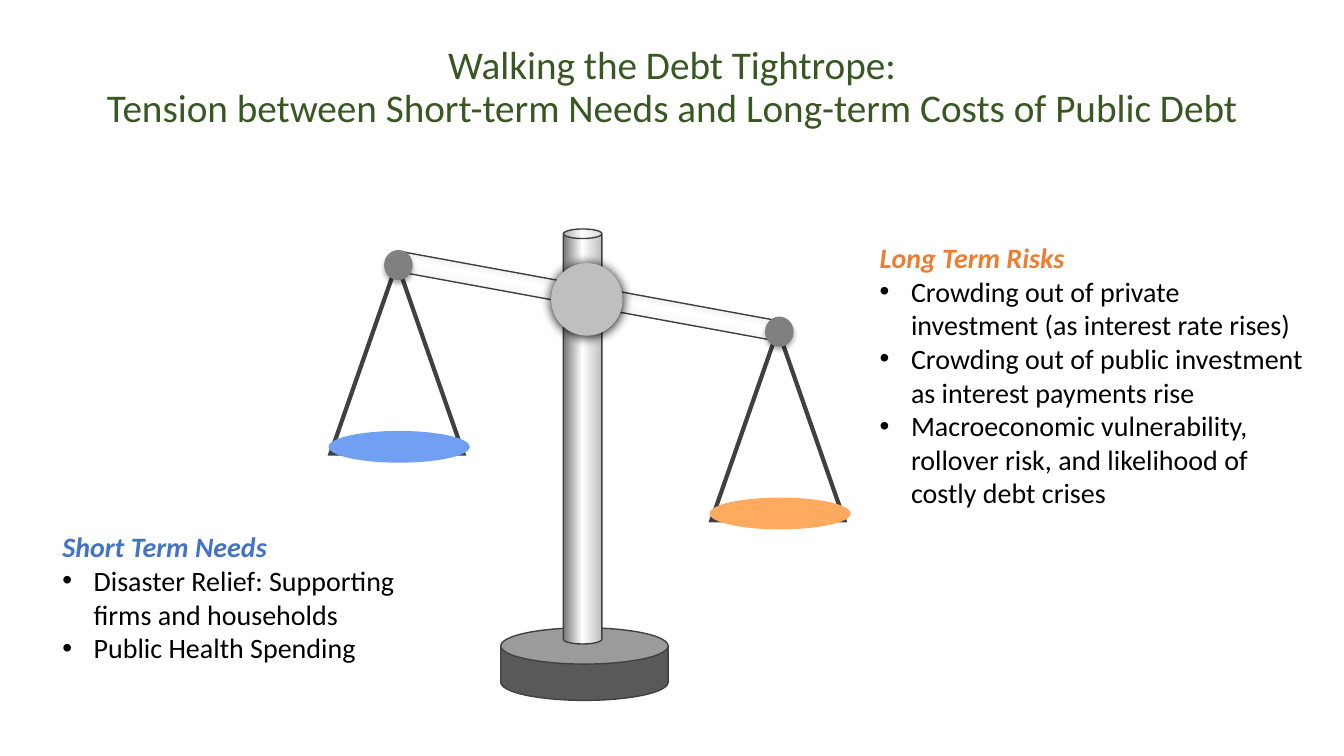
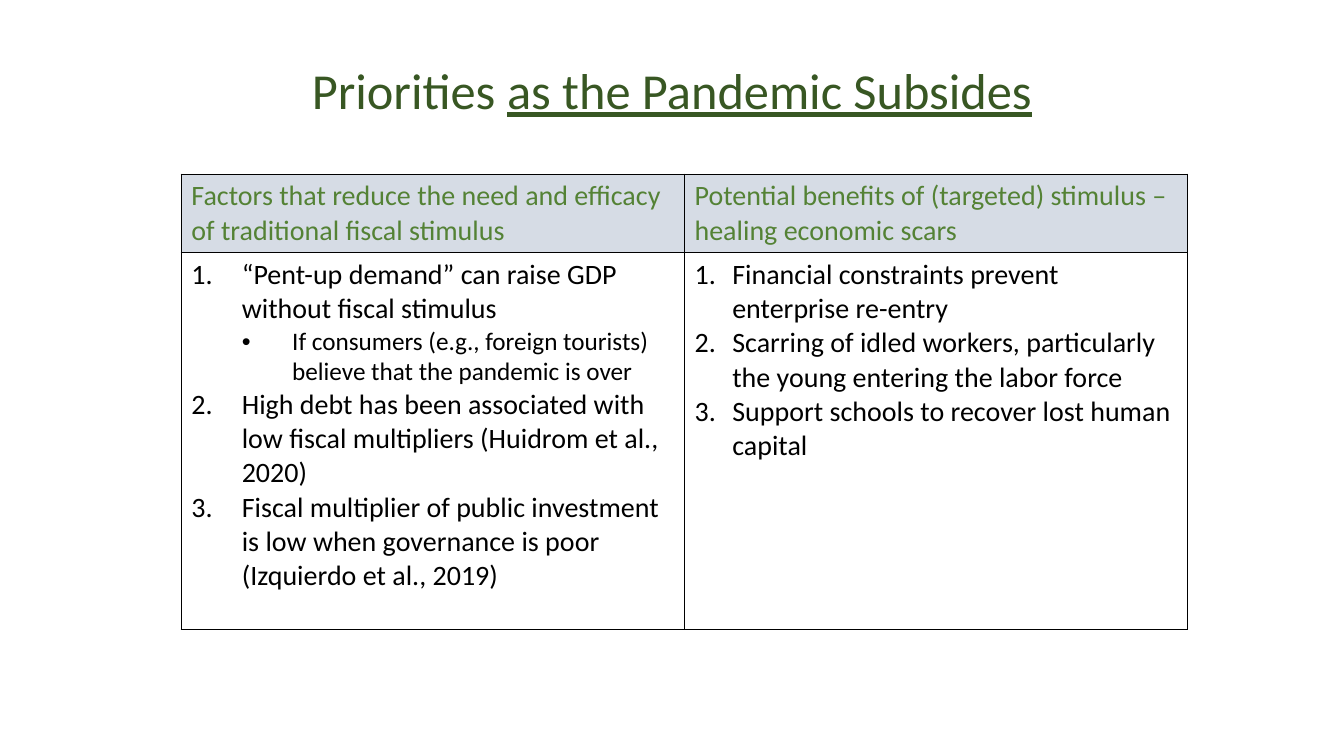
from lxml import etree
from pptx import Presentation
from pptx.dml.color import RGBColor
from pptx.enum import shapes, text as txt
from pptx.oxml.ns import qn
from pptx.util import Cm, Pt

FONT = "Calibri"
HUES = {
    "title": "385723", "head": "548235", "band": "D6DCE5",
    "blue": "4472C4", "orange": "ED7D31",
    "sky": "719FF2", "peach": "FFAA5E",
    "dark": "595959", "edge": "404040", "mid": "808080", "pale": "BFBFBF",
    "black": "000000", "white": "FFFFFF",
}
METAL = [(3, "mid"), (49, "white"), (100, "pale")]
KIND = shapes.MSO_SHAPE


def rgb(hue):
    return RGBColor.from_string(HUES[hue])


def node(up, tag, **attrs):
    """Add a drawing element below another one."""
    return etree.SubElement(up, qn("a:" + tag), {k: str(v) for k, v in attrs.items()})


# Text
def write(frame, text, size=20, hue="black", bold=False, italic=False,
          under=False, mark=None, hang=0, indent=0, level=0,
          align=None, space=None, join=False):
    """Write a paragraph, or join a run to the last one."""
    para = frame.paragraphs[-1]
    if para.runs and not join:
        para = frame.add_paragraph()
    if not join:
        para.level = level
        if align is not None:
            para.alignment = align
        if space:
            para.line_spacing = space
        if mark:
            props = para._p.get_or_add_pPr()
            props.set("marL", str(Cm(indent or hang)))
            props.set("indent", str(-Cm(hang)))
            if mark == "1.":
                node(props, "buFont", typeface="+mj-lt")
                node(props, "buAutoNum", type="arabicPeriod")
            else:
                node(props, "buFont", typeface="Arial")
                node(props, "buChar", char=mark)
    for i, line in enumerate(text.split("\n")):
        if i:
            para.add_line_break()
        run = para.add_run()
        run.text = line
        font = run.font
        font.name, font.size = FONT, Pt(size)
        font.bold, font.italic, font.underline = bold, italic, under
        font.color.rgb = rgb(hue)


def frame(slide, left, top, wide, high):
    box = slide.shapes.add_textbox(Cm(left), Cm(top), Cm(wide), Cm(high))
    box.text_frame.word_wrap = True
    return box.text_frame


def title(slide, top, high, size, *parts):
    """Centred title; every second part is underlined."""
    area = frame(slide, 2.33, top, 29.21, high)
    area.vertical_anchor = txt.MSO_ANCHOR.MIDDLE
    for i, part in enumerate(parts):
        write(area, part, size=size, hue="title", under=i % 2 == 1,
              align=txt.PP_ALIGN.CENTER, space=0.9, join=i > 0)


def points(slide, area, head, hue, items):
    body = frame(slide, *area)
    write(body, head, hue=hue, bold=True, italic=True)
    for item in items:
        write(body, item, mark="•", hang=0.79)


# Shapes
def shape(slide, kind, left, top, wide, high, fill=None, line=None, width=1):
    item = slide.shapes.add_shape(kind, Cm(left), Cm(top), Cm(wide), Cm(high))
    item.shadow.inherit = False
    if fill:
        item.fill.solid()
        item.fill.fore_color.rgb = rgb(fill)
    else:
        item.fill.background()
    if line:
        item.line.color.rgb = rgb(line)
        item.line.width = Pt(width)
        node(item.line._ln, "miter", lim=800000)
    else:
        item.line.fill.background()
    return item


def shade(item, alpha, blur, dist):
    """Cast a soft shadow straight down."""
    effects = item._element.spPr.find(qn("a:effectLst"))
    cast = node(effects, "outerShdw", blurRad=Pt(blur), dist=Pt(dist),
                dir=5400000, algn="ctr", rotWithShape=0)
    tint = node(cast, "srgbClr", val=HUES["black"])
    node(tint, "alpha", val=alpha * 1000)


def pipe(slide, left, top, wide, high):
    """Can with a metal gradient from side to side."""
    item = shape(slide, KIND.CAN, left, top, wide, high, line="edge")
    props = item._element.spPr
    old = props.find(qn("a:noFill"))
    grad = etree.Element(qn("a:gradFill"), rotWithShape="1")
    stops = node(grad, "gsLst")
    for pos, hue in METAL:
        node(node(stops, "gs", pos=pos * 1000), "srgbClr", val=HUES[hue])
    node(grad, "lin", ang=0, scaled=0)
    props.replace(old, grad)
    return item


def pan(slide, left, top, hue):
    """Cords, pan and knob of one arm."""
    shape(slide, KIND.ISOSCELES_TRIANGLE, left, top, 3.35, 4.8,
          line="edge", width=3)
    shape(slide, KIND.OVAL, left - 0.05, top + 4.23, 3.56, 0.8, fill=hue)
    knob = shape(slide, KIND.OVAL, left + 1.35, top - 0.33, 0.72, 0.76, fill="mid")
    shade(knob, 32, 3.5, 2.2)


def scale(slide):
    base = shape(slide, KIND.CAN, 12.62, 15.82, 4.22, 1.83,
                 fill="dark", line="edge")
    base.adjustments[0] = 0.5
    pipe(slide, 14.2, 5.77, 0.97, 10.46)
    beam = pipe(slide, 14.58, 2.59, 0.51, 9.75)
    beam.rotation = 280.4
    beam._element.spPr.xfrm.set("flipH", "1")
    pan(slide, 17.93, 8.31, "peach")
    pan(slide, 8.33, 6.63, "sky")
    hub = shape(slide, KIND.OVAL, 13.89, 6.63, 1.8, 1.83, fill="pale")
    shade(hub, 100, 8.5, 1)


# Table
def paint(cell, hue):
    """Fill a cell and draw its four borders."""
    cell.fill.solid()
    cell.fill.fore_color.rgb = rgb(hue)
    props = cell._tc.get_or_add_tcPr()
    for i, side in enumerate("LRTB"):
        edge = etree.Element(qn("a:ln" + side), w=str(Pt(1)))
        node(node(edge, "solidFill"), "srgbClr", val=HUES["black"])
        props.insert(i, edge)


def grid(slide, cols):
    """Table with one heading and one numbered list per column."""
    wide, rows = 12.68, (1.97, 9.5)
    table = slide.shapes.add_table(2, len(cols), Cm(4.57), Cm(4.39),
                                   Cm(wide * len(cols)), Cm(sum(rows))).table
    table.first_row = table.horz_banding = False
    for row, high in zip(table.rows, rows):
        row.height = Cm(high)
    for i, (head, hang, items) in enumerate(cols):
        table.columns[i].width = Cm(wide)
        top, body = table.cell(0, i), table.cell(1, i)
        paint(top, "band")
        paint(body, "white")
        write(top.text_frame, head, hue="head")
        for item, *subs in items:
            write(body.text_frame, item, mark="1.", hang=hang)
            for sub in subs:
                write(body.text_frame, sub, size=18, mark="•", hang=hang,
                      indent=2 * hang, level=1)


# Slides
def debt(slide):
    title(slide, 0.28, 3.89, 28, "Walking the Debt Tightrope:\n"
          "Tension between Short-term Needs and Long-term Costs of Public Debt")
    scale(slide)
    points(slide, (1.32, 13.23, 9.63, 3.68), "Short Term Needs", "blue", [
        "Disaster Relief: Supporting firms and households",
        "Public Health Spending",
    ])
    points(slide, (21.92, 5.94, 11.35, 7.09), "Long Term Risks", "orange", [
        "Crowding out of private investment (as interest rate rises)",
        "Crowding out of public investment as interest payments rise",
        "Macroeconomic vulnerability, rollover risk, and likelihood of "
        "costly debt crises",
    ])


def goals(slide):
    title(slide, 1.02, 2.67, 36, "Priorities ", "as the Pandemic Subsides")
    grid(slide, [
        ("Factors that reduce the need and efficacy of traditional fiscal stimulus",
         1.27, [
             ("“Pent-up demand” can raise GDP without fiscal stimulus",
              "If consumers (e.g., foreign tourists) believe that the "
              "pandemic is over"),
             ("High debt has been associated with low fiscal multipliers "
              "(Huidrom et al., 2020)",),
             ("Fiscal multiplier of public investment is low when governance "
              "is poor (Izquierdo et al., 2019)",),
         ]),
        ("Potential benefits of (targeted) stimulus – healing economic scars",
         0.95, [
             ("Financial constraints prevent enterprise re-entry",),
             ("Scarring of idled workers, particularly the young entering "
              "the labor force",),
             ("Support schools to recover lost human capital",),
         ]),
    ])


def main():
    deck = Presentation()
    deck.slide_width, deck.slide_height = Cm(33.87), Cm(19.05)
    for build in (debt, goals):
        build(deck.slides.add_slide(deck.slide_layouts[6]))
    deck.save("out.pptx")


if __name__ == "__main__":
    main()
